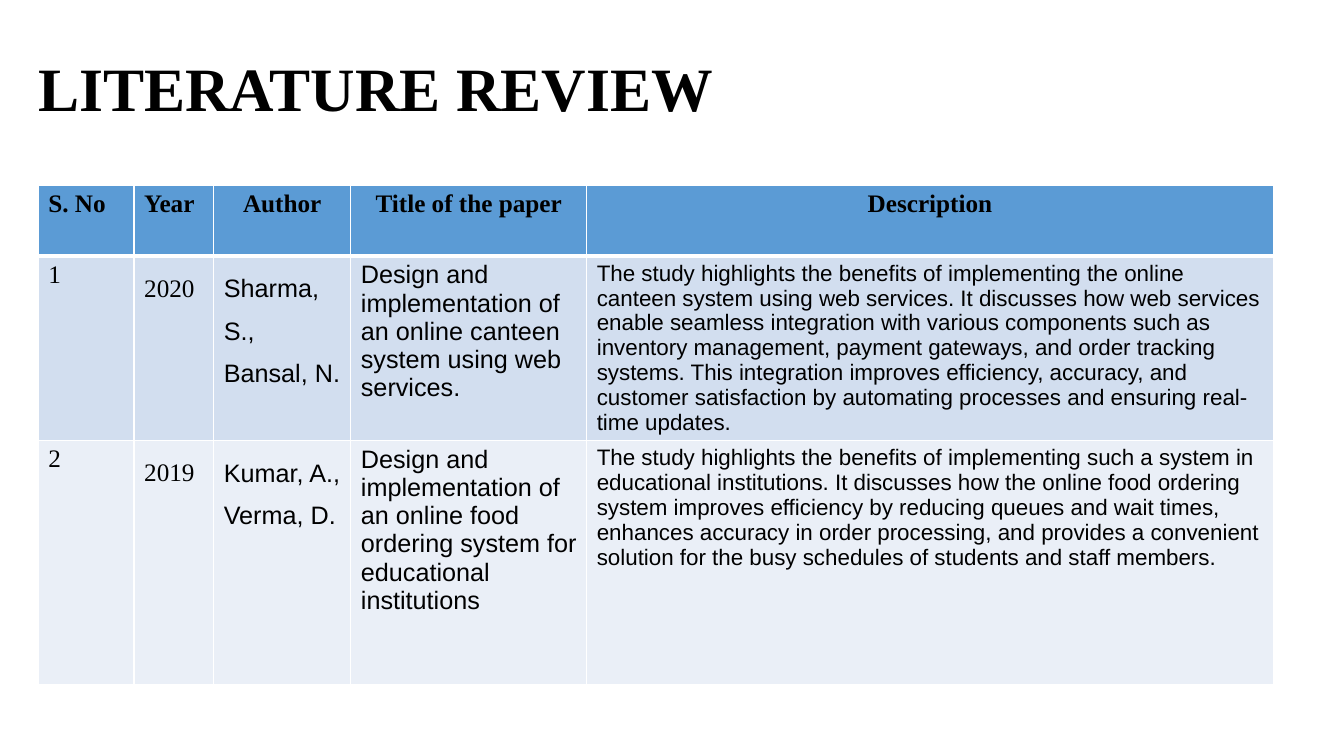
from lxml.etree import SubElement
from pptx import Presentation
from pptx.dml.color import RGBColor
from pptx.enum.text import MSO_ANCHOR as Anchor, MSO_AUTO_SIZE as AutoSize, PP_ALIGN as Align
from pptx.oxml.ns import qn
from pptx.util import Inches, Pt

COLOURS = {"ink": "000000", "rule": "FFFFFF", "header": "5B9BD5", "odd": "D2DEEF", "even": "EAEFF7"}
SERIF, SANS = "Times New Roman", "Arial"
COLUMN_WIDTHS = [0.95, 0.79, 1.36, 2.34, 6.81]
ROW_HEIGHTS = [0.7, 1.81, 2.42]
BODY_STYLES = [(SERIF, 18, 1), (SERIF, 18, 1.5), (SANS, 18, 1.5), (SANS, 18, 1), (SANS, 16, 1)]
HEADINGS = ["S. No", "Year", "Author", "Title of the paper", "Description"]
PAPERS = [
    ["1", "2020", "Sharma, S.,\nBansal, N.",
     "Design and implementation of an online canteen system using web services.",
     "The study highlights the benefits of implementing the online canteen system using web services. "
     "It discusses how web services enable seamless integration with various components such as "
     "inventory management, payment gateways, and order tracking systems. This integration improves "
     "efficiency, accuracy, and customer satisfaction by automating processes and ensuring "
     "real-time updates."],
    ["2", "2019", "Kumar, A.,\nVerma, D.",
     "Design and implementation of an online food ordering system for educational institutions",
     "The study highlights the benefits of implementing such a system in educational institutions. "
     "It discusses how the online food ordering system improves efficiency by reducing queues and "
     "wait times, enhances accuracy in order processing, and provides a convenient solution for the "
     "busy schedules of students and staff members."],
]


class ReviewSlide:
    """Holds the deck, its current page and the shared style, with places in percent of the slide."""

    def __init__(self):
        self.deck = Presentation()
        self.deck.slide_width, self.deck.slide_height = Inches(13.33), Inches(7.5)
        self.page = self.deck.slides.add_slide(self.deck.slide_layouts[5])

    def place(self, *percents):
        sides = (self.deck.slide_width, self.deck.slide_height) * 2
        return [int(percent * side / 100) for percent, side in zip(percents, sides)]

    def fill_text(self, frame, text, font, size, bold=False, align=Align.LEFT, spacing=1):
        frame.text = text
        for para in frame.paragraphs:
            para.alignment, para.line_spacing = align, spacing
            for span in para.runs:
                span.font.name, span.font.size, span.font.bold = font, Pt(size), bold
                span.font.color.rgb = RGBColor.from_string(COLOURS["ink"])

    def title(self, text, *percents):
        box = self.page.shapes.title
        box.left, box.top, box.width, box.height = self.place(*percents)
        frame = box.text_frame
        frame.auto_size, frame.vertical_anchor, frame.word_wrap = AutoSize.NONE, Anchor.MIDDLE, True
        self.fill_text(frame, text, SERIF, 44, bold=True, spacing=0.9)

    def finish_cell(self, cell, fill, widths):
        properties = cell._tc.get_or_add_tcPr()
        for side, width in zip(("lnL", "lnR", "lnT", "lnB"), widths):
            line = SubElement(properties, qn(f"a:{side}"), w=str(Pt(width)))
            paint = SubElement(line, qn("a:solidFill"))
            SubElement(paint, qn("a:srgbClr"), val=COLOURS["rule"])
        cell.fill.solid()
        cell.fill.fore_color.rgb = RGBColor.from_string(COLOURS[fill])

    def table(self, headings, records, *percents):
        rows = [headings] + records
        grid = self.page.shapes.add_table(len(rows), len(headings), *self.place(*percents)).table
        for column, width in zip(grid.columns, COLUMN_WIDTHS):
            column.width = Inches(width)
        for row, height in zip(grid.rows, ROW_HEIGHTS):
            row.height = Inches(height)
        for r, texts in enumerate(rows):
            fill = "header" if r == 0 else "odd" if r % 2 else "even"
            widths = (1, 1, 3 if r == 1 else 1, 3 if r == 0 else 1)
            for c, text in enumerate(texts):
                cell = grid.cell(r, c)
                if r == 0:
                    align = Align.LEFT if c < 2 else Align.CENTER
                    self.fill_text(cell.text_frame, text, SERIF, 18, bold=True, align=align)
                else:
                    font, size, spacing = BODY_STYLES[c]
                    self.fill_text(cell.text_frame, text, font, size, spacing=spacing)
                self.finish_cell(cell, fill, widths)


def main():
    review = ReviewSlide()
    review.title("LITERATURE REVIEW", 2.1, 5.33, 91.07, 13.6)
    review.table(HEADINGS, PAPERS, 2.85, 24.53, 91.9, 65.87)
    review.deck.save("out.pptx")


if __name__ == "__main__":
    main()
